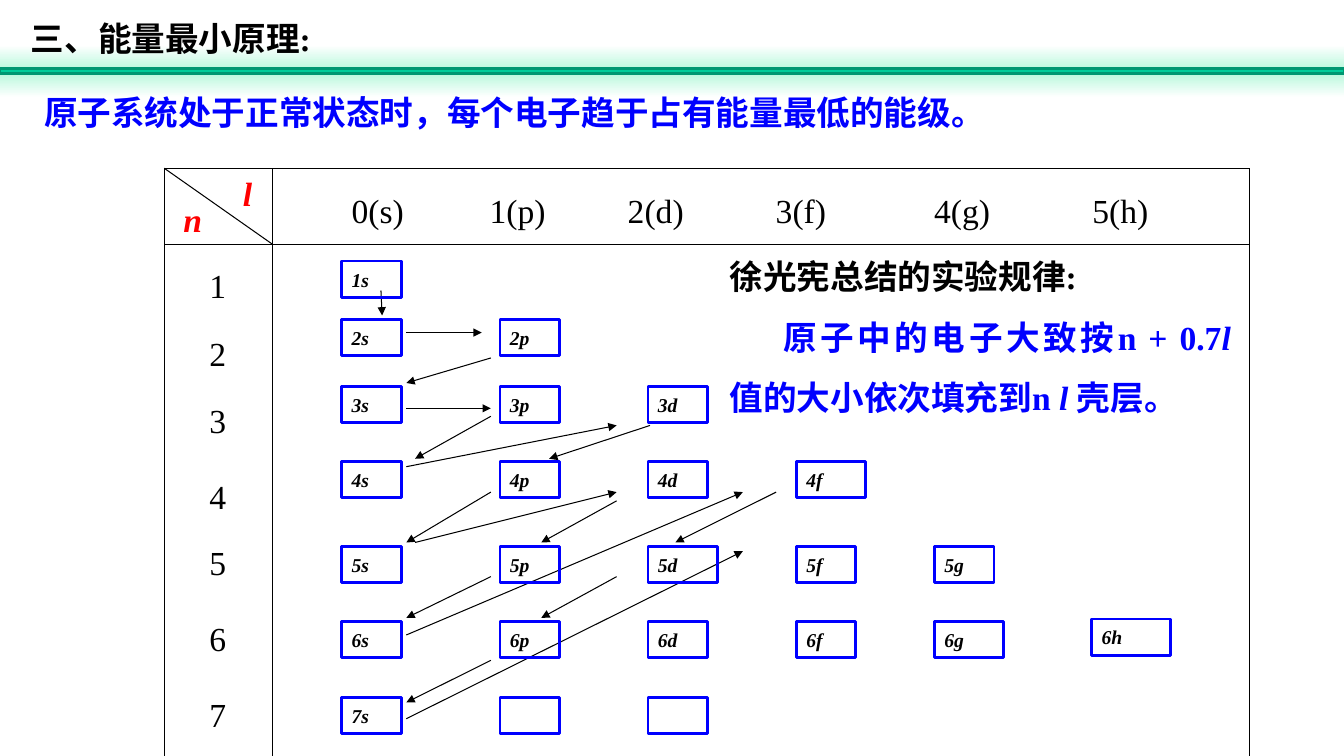
from typing import NamedTuple

from lxml import etree
from pptx import Presentation
from pptx.dml.color import RGBColor
from pptx.enum.shapes import MSO_CONNECTOR, MSO_SHAPE
from pptx.enum.text import PP_ALIGN
from pptx.oxml.ns import qn
from pptx.util import Cm, Pt

STRAIGHT = MSO_CONNECTOR.STRAIGHT
RECTANGLE = MSO_SHAPE.RECTANGLE
LEFT, CENTER, JUSTIFY = PP_ALIGN.LEFT, PP_ALIGN.CENTER, PP_ALIGN.JUSTIFY
FONT = "Times New Roman"
COLORS = {
    "black": "000000", "blue": "0000FF", "red": "FF0000", "white": "FFFFFF",
    "bar": "00CC99", "bar_edge": "009771", "glow": "B4F8DA",
}


class Line(NamedTuple):
    x1: float
    y1: float
    x2: float
    y2: float


class Label(NamedTuple):
    text: str
    left: float
    top: float
    width: float = 2.24
    height: float = 1.27
    color: str = "black"
    bold: bool = False
    italic: bool = False
    align: PP_ALIGN = LEFT


class Orbital(NamedTuple):
    name: str
    left: float
    top: float
    width: float = 1.5


SHELL_LEFTS = {"s": 8.61, "p": 12.6, "d": 16.33, "f": 20.07, "g": 23.55, "h": 27.51}
HEADER_LEFTS = [8.61, 12.09, 15.57, 19.3, 23.29, 27.28]
BOX_TOPS = [6.58, 8.05, 9.73, 11.63, 13.77, 15.67, 17.58]
NUMBER_TOPS = [6.55, 8.26, 9.96, 11.86, 13.54, 15.44, 17.35]
SHELLS_IN_ROW = ["s", "sp", "spd", "spdf", "spdfg", "spdfgh", "spd"]
BOX_WIDTHS = {"4f": 1.75, "5d": 1.75, "6g": 1.75, "6h": 1.98}
BOX_TOP_EXCEPTIONS = {"6h": 15.6}
UNNAMED = {"7p", "7d"}

ARROWS = [
    Line(9.6, 7.32, 9.63, 7.95),
    Line(10.24, 8.38, 12.14, 8.38),
    Line(12.37, 9.02, 10.24, 9.65),
    Line(10.24, 10.29, 12.37, 10.29),
    Line(12.37, 10.49, 10.46, 11.56),
    Line(10.24, 11.76, 15.54, 10.72),
    Line(16.38, 10.72, 13.84, 11.56),
    Line(12.37, 12.4, 10.24, 13.67),
    Line(10.46, 13.67, 15.54, 12.4),
    Line(15.54, 12.62, 13.64, 13.67),
    Line(12.37, 14.53, 10.24, 15.57),
    Line(10.24, 16, 18.72, 12.4),
    Line(19.56, 12.4, 17.02, 13.67),
    Line(15.54, 14.53, 13.64, 15.57),
    Line(12.37, 16.64, 10.24, 17.7),
    Line(10.24, 18.11, 18.72, 13.89),
]

TABLE_LEFT, TABLE_SPLIT, TABLE_RIGHT = 4.14, 6.86, 31.5
TABLE_TOP, HEADER_BOTTOM, TABLE_BOTTOM = 4.24, 6.15, 19.05
TABLE_LINES = [
    *(Line(TABLE_LEFT, y, TABLE_RIGHT, y) for y in (TABLE_TOP, HEADER_BOTTOM)),
    *(Line(x, TABLE_TOP, x, TABLE_BOTTOM) for x in (TABLE_LEFT, TABLE_RIGHT, TABLE_SPLIT)),
    Line(TABLE_LEFT, TABLE_TOP, TABLE_SPLIT, HEADER_BOTTOM),
]


def rgb(name: str) -> RGBColor:
    return RGBColor.from_string(COLORS[name])


def style_runs(paragraph, color: str, size: float = 24, bold: bool = False,
               italic: bool = False) -> None:
    for run in paragraph.runs:
        run.font.name = FONT
        run.font.size = Pt(size)
        run.font.bold = bold
        run.font.italic = italic
        run.font.color.rgb = rgb(color)


def add_line(slide, line: Line, arrow: bool = False) -> None:
    connector = slide.shapes.add_connector(STRAIGHT, *(Cm(value) for value in line))
    connector.line.color.rgb = rgb("black")
    connector.line.width = Pt(0.75)
    if arrow:
        etree.SubElement(connector.line._get_or_add_ln(), qn("a:tailEnd"), type="triangle")
    etree.SubElement(connector._element.spPr, qn("a:effectLst"))


def add_rectangle(slide, left: float, top: float, width: float, height: float):
    shape = slide.shapes.add_shape(RECTANGLE, Cm(left), Cm(top), Cm(width), Cm(height))
    shape.shadow.inherit = False
    return shape


def add_glow(slide, top: float, height: float, start: str, end: str) -> None:
    shape = add_rectangle(slide, 0, top, 33.87, height)
    shape.line.fill.background()
    shape.fill.gradient()
    shape.fill.gradient_angle = 270
    for stop, color in zip(shape.fill.gradient_stops, (start, end)):
        stop.color.rgb = rgb(color)


def add_title_bar(slide) -> None:
    add_glow(slide, 1.14, 0.66, "white", "glow")
    add_glow(slide, 1.8, 0.66, "glow", "white")
    bar = add_rectangle(slide, 0, 1.73, 33.87, 0.13)
    bar.fill.solid()
    bar.fill.fore_color.rgb = rgb("bar")
    bar.line.color.rgb = rgb("bar_edge")
    bar.line.width = Pt(2)


def add_text_box(slide, left: float, top: float, width: float, height: float):
    shape = slide.shapes.add_textbox(Cm(left), Cm(top), Cm(width), Cm(height))
    shape.text_frame.word_wrap = True
    return shape.text_frame


def add_label(slide, label: Label) -> None:
    text_frame = add_text_box(slide, label.left, label.top, label.width, label.height)
    text_frame.text = label.text
    paragraph = text_frame.paragraphs[0]
    paragraph.alignment = label.align
    style_runs(paragraph, label.color, bold=label.bold, italic=label.italic)


def add_orbital(slide, orbital: Orbital) -> None:
    shape = add_rectangle(slide, orbital.left, orbital.top, orbital.width, 0.91)
    shape.fill.background()
    shape.line.color.rgb = rgb("blue")
    shape.line.width = Pt(2)
    if orbital.name not in UNNAMED:
        shape.text_frame.text = orbital.name
        paragraph = shape.text_frame.paragraphs[0]
        paragraph.alignment = LEFT
        style_runs(paragraph, "black", 14, bold=True, italic=True)


def add_rule(slide) -> None:
    text_frame = add_text_box(slide, 18.14, 6.53, 13.13, 4.17)
    text_frame.text = "徐光宪总结的实验规律:"
    heading = text_frame.paragraphs[0]
    heading.line_spacing = 0.8
    style_runs(heading, "black", bold=True)
    body = text_frame.add_paragraph()
    body.alignment = JUSTIFY
    body.line_spacing = 1.5
    body._p.get_or_add_pPr().set("indent", str(Cm(1.35)))
    pieces = ["原子中的电子大致按n + 0.7", "l ", "值的大小依次填充到n ", "l ", "壳层。"]
    for piece in pieces:
        body.add_run().text = piece
    style_runs(body, "blue", bold=True)
    for run in body.runs[1::2]:
        run.font.italic = True


def main() -> None:
    presentation = Presentation()
    presentation.slide_width, presentation.slide_height = Cm(33.87), Cm(19.05)
    slide = presentation.slides.add_slide(presentation.slide_layouts[6])
    slide.background.fill.solid()
    slide.background.fill.fore_color.rgb = rgb("white")
    add_title_bar(slide)
    add_label(slide, Label("三、能量最小原理:", 0.53, 0.33, 11.43, bold=True))
    add_label(slide, Label("原子系统处于正常状态时，每个电子趋于占有能量最低的能级。",
                           0.86, 2.2, 25.15, 1.4, "blue", True))
    for arrow in ARROWS:
        add_line(slide, arrow, arrow=True)
    for line in TABLE_LINES:
        add_line(slide, line)
    for quantum, (shell, left) in enumerate(zip(SHELL_LEFTS, HEADER_LEFTS)):
        add_label(slide, Label(f"{quantum}({shell})", left, 4.65))
    for number, top in enumerate(NUMBER_TOPS, start=1):
        add_label(slide, Label(str(number), 4.37, top, align=CENTER))
    for number, (shells, top) in enumerate(zip(SHELLS_IN_ROW, BOX_TOPS), start=1):
        for shell in shells:
            name = f"{number}{shell}"
            add_orbital(slide, Orbital(name, SHELL_LEFTS[shell],
                                       BOX_TOP_EXCEPTIONS.get(name, top),
                                       BOX_WIDTHS.get(name, 1.5)))
    add_label(slide, Label("l", 5.87, 4.24, 1.24, color="red", bold=True, italic=True))
    add_label(slide, Label("n", 4.37, 4.88, 1.24, color="red", bold=True, italic=True))
    add_rule(slide)
    presentation.save("out.pptx")


if __name__ == "__main__":
    main()
